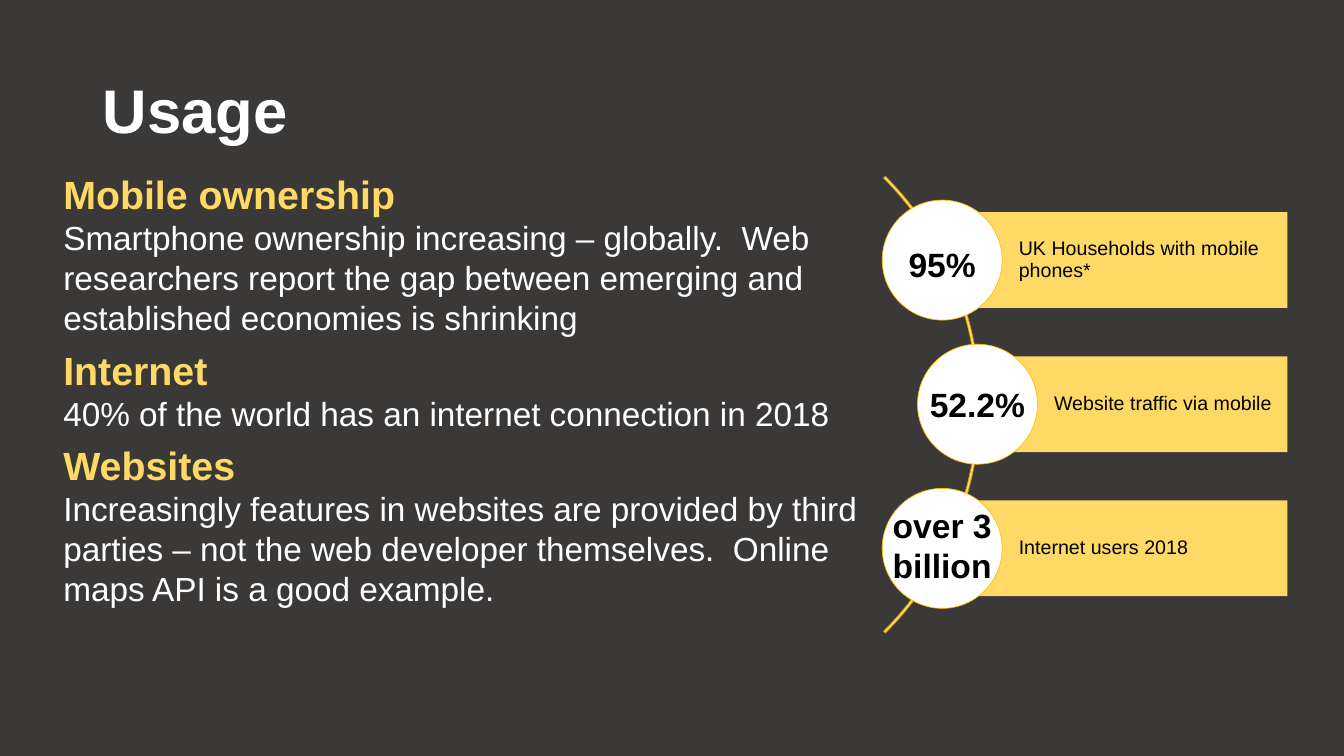
from pptx import Presentation
from pptx.dml.color import RGBColor
from pptx.enum.shapes import MSO_SHAPE
from pptx.enum.text import MSO_ANCHOR, PP_ALIGN
from pptx.util import Inches, Pt

COLORS = {
    "background": "3B3838",
    "white": "FFFFFF",
    "black": "000000",
    "yellow": "FFD966",
    "arc_line": "CC9A00",
    "circle_line": "FFC000",
}

SECTIONS = [
    ("Mobile ownership",
     "Smartphone ownership increasing – globally.  Web researchers report the gap between "
     "emerging and established economies is shrinking"),
    ("Internet", "40% of the world has an internet connection in 2018"),
    ("Websites",
     "Increasingly features in websites are provided by third parties – not the web "
     "developer themselves.  Online maps API is a good example."),
]

STATISTICS = [
    ("95%", "UK Households with mobile phones*", 8.75, 2.37, 0.5),
    ("52.2%", "Website traffic via mobile", 9.1, 3.76, 0.5),
    ("over 3 billion", "Internet users 2018", 8.75, 4.95, 0.91),
]
FIRST_CENTER = 2.58
ROW_PITCH = 1.43
CIRCLE_SIZE = 1.19
BAR_HEIGHT = 0.95
BAR_RIGHT = 12.77
VALUE_WIDTH = 1.26


def color(name):
    return RGBColor.from_string(COLORS[name])


def add_text(paragraph, text, size=14, fill="black", bold=False, font="Arial"):
    run = paragraph.add_run()
    run.text = text
    run.font.name = font
    run.font.size = Pt(size)
    run.font.bold = bold
    run.font.color.rgb = color(fill)


class UsageSlide:
    def __init__(self, presentation):
        self.slide = presentation.slides.add_slide(presentation.slide_layouts[5])
        background = self.slide.background.fill
        background.solid()
        background.fore_color.rgb = color("background")

    def title(self, text, left, top, width, height):
        shape = self.slide.shapes.title
        shape.left, shape.top = Inches(left), Inches(top)
        shape.width, shape.height = Inches(width), Inches(height)
        frame = shape.text_frame
        frame.vertical_anchor = MSO_ANCHOR.MIDDLE
        paragraph = frame.paragraphs[0]
        paragraph.alignment = PP_ALIGN.LEFT
        paragraph.line_spacing = 0.9
        add_text(paragraph, text, size=44, fill="white", bold=True)

    def text_box(self, left, top, width, height, anchor=MSO_ANCHOR.TOP):
        box = self.slide.shapes.add_textbox(
            Inches(left), Inches(top), Inches(width), Inches(height))
        frame = box.text_frame
        frame.word_wrap = True
        frame.vertical_anchor = anchor
        return frame

    def sections(self, sections, left, top, width, height):
        frame = self.text_box(left, top, width, height)
        for index, (heading, body) in enumerate(sections):
            paragraph = frame.add_paragraph() if index else frame.paragraphs[0]
            paragraph.space_before = Pt(6 if index else 0)
            add_text(paragraph, heading, size=28.1, fill="yellow", bold=True)
            paragraph.add_line_break()
            add_text(paragraph, body, size=23.8, fill="white")

    def shape(self, kind, left, top, width, height, fill, line=None):
        shape = self.slide.shapes.add_shape(
            kind, Inches(left), Inches(top), Inches(width), Inches(height))
        shape.shadow.inherit = False
        shape.fill.solid()
        shape.fill.fore_color.rgb = color(fill)
        if line:
            shape.line.color.rgb = color(line)
            shape.line.width = Pt(0.5)
        else:
            shape.line.fill.background()
        return shape

    def arc(self, left, top, size):
        arc = self.shape(MSO_SHAPE.BLOCK_ARC, left, top, size, size, "yellow", "arc_line")
        for index, value in enumerate((189, 27, 0.004)):
            arc.adjustments[index] = value

    def bar(self, text, left, top):
        bar = self.shape(
            MSO_SHAPE.RECTANGLE, left, top, BAR_RIGHT - left, BAR_HEIGHT, "yellow")
        frame = bar.text_frame
        frame.word_wrap = True
        frame.vertical_anchor = MSO_ANCHOR.MIDDLE
        frame.margin_left = Inches(0.76)
        frame.margin_top = frame.margin_right = frame.margin_bottom = Inches(0.04)
        paragraph = frame.paragraphs[0]
        paragraph.alignment = PP_ALIGN.LEFT
        paragraph.line_spacing = 0.9
        add_text(paragraph, text)

    def statistic(self, value, label, circle_left, center, value_top, value_height):
        circle_center = circle_left + CIRCLE_SIZE / 2
        self.bar(label, circle_center, center - BAR_HEIGHT / 2)
        self.shape(MSO_SHAPE.OVAL, circle_left, center - CIRCLE_SIZE / 2,
                   CIRCLE_SIZE, CIRCLE_SIZE, "white", "circle_line")
        frame = self.text_box(circle_center - VALUE_WIDTH / 2, value_top,
                              VALUE_WIDTH, value_height, MSO_ANCHOR.MIDDLE)
        frame.paragraphs[0].alignment = PP_ALIGN.CENTER
        add_text(frame.paragraphs[0], value, size=24, bold=True)


def main():
    presentation = Presentation()
    presentation.slide_width = Inches(13.33)
    presentation.slide_height = Inches(7.5)
    usage = UsageSlide(presentation)
    usage.title("Usage", 0.92, 0.4, 11.5, 1.45)
    usage.sections(SECTIONS, 0.53, 1.64, 8.16, 4.76)
    usage.arc(3.31, 0.81, 6.41)
    for row, (value, label, left, value_top, value_height) in enumerate(STATISTICS):
        center = FIRST_CENTER + row * ROW_PITCH
        usage.statistic(value, label, left, center, value_top, value_height)
    presentation.save("out.pptx")


if __name__ == "__main__":
    main()
